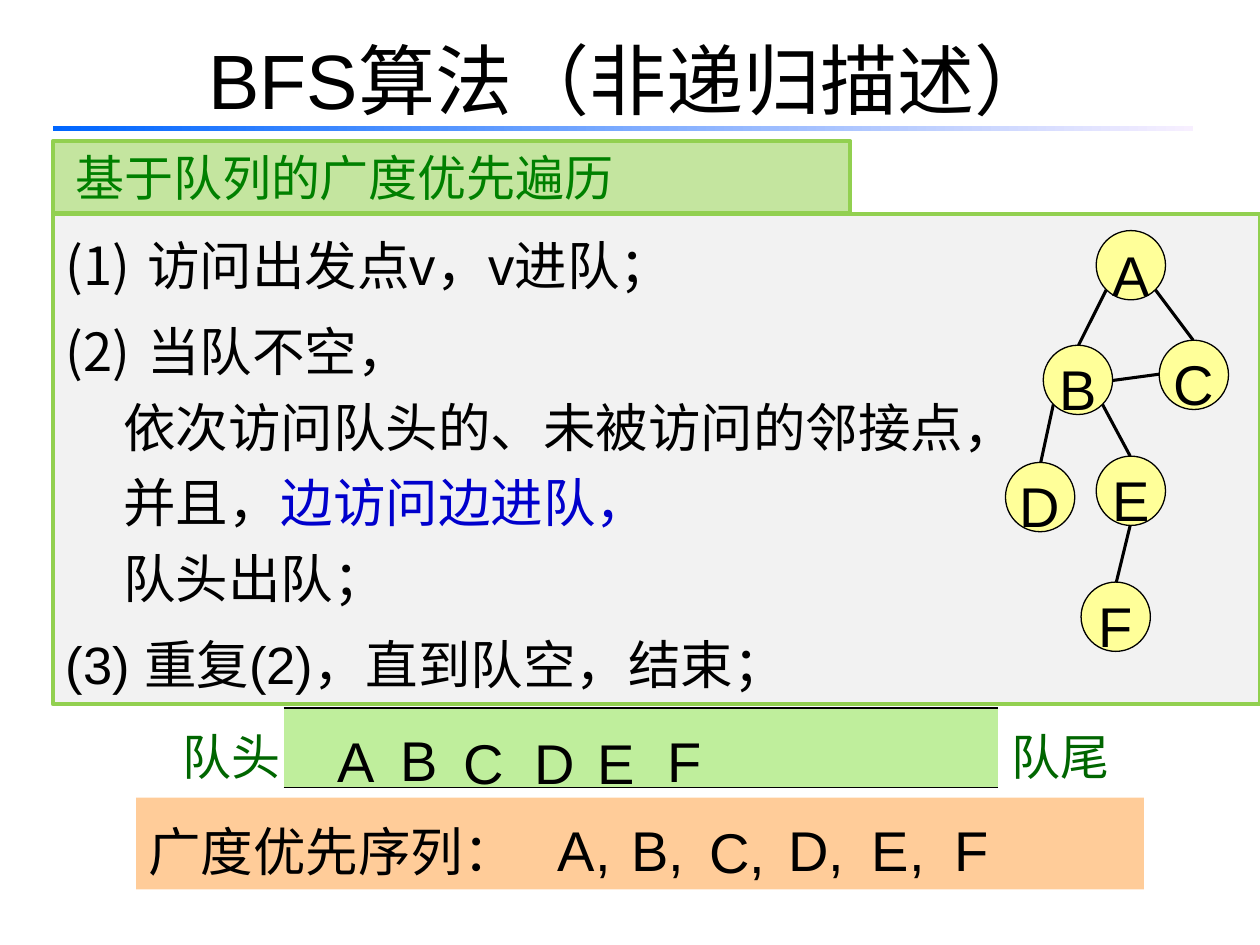
from typing import NamedTuple

from lxml import etree
from pptx import Presentation
from pptx import util as u
from pptx.dml.color import RGBColor
from pptx.enum import shapes, text
from pptx.oxml import ns

FONT = "Arial"
BLACK = RGBColor(0x00, 0x00, 0x00)
WHITE = RGBColor(0xFF, 0xFF, 0xFF)
BLUE = RGBColor(0x00, 0x00, 0xCC)
GREEN = RGBColor(0x00, 0x80, 0x00)
DARK_GREEN = RGBColor(0x00, 0x66, 0x00)
LIME = RGBColor(0x92, 0xD0, 0x50)
PALE_LIME = RGBColor(0xC4, 0xE5, 0x9F)
QUEUE_GREEN = RGBColor(0xBF, 0xEE, 0x9C)
GREY = RGBColor(0xF2, 0xF2, 0xF2)
YELLOW = RGBColor(0xFF, 0xFF, 0x99)
ORANGE = RGBColor(0xFF, 0xCC, 0x99)
RULE_START = RGBColor(0x00, 0x66, 0xFF)
RULE_END = RGBColor(0xF7, 0xEF, 0xFF)
NODE_SIZE = 0.55


class Step(NamedTuple):
    runs: tuple
    margin: float = 0
    numbered: bool = False
    before: float = 0


class Node(NamedTuple):
    name: str
    x: float
    y: float


class Edge(NamedTuple):
    x1: float
    y1: float
    x2: float
    y2: float


class Label(NamedTuple):
    text: str
    x: float
    y: float
    w: float
    h: float
    size: float = 32
    color: RGBColor = BLACK
    spacing: float = 1.25


STEPS = [
    Step((("访问出发点v，v进队；", BLACK),), 0.65, True),
    Step((("当队不空，", BLACK),), 0.65, True, 6),
    Step((("依次访问队头的、未被访问的邻接点，", BLACK),), 0.46),
    Step((("并且，", BLACK), ("边访问边进队，", BLUE)), 0.46),
    Step((("队头出队；", BLACK),), 0.46),
    Step((("(3) 重复(2)，直到队空，结束；", BLACK),), before=6),
]
EDGES = [
    Edge(9.17, 2.3, 9.47, 2.7), Edge(8.78, 2.3, 8.56, 2.74),
    Edge(8.36, 3.21, 8.26, 3.67), Edge(8.75, 3.21, 8.97, 3.62),
    Edge(9.2, 2.97, 8.83, 3.02), Edge(8.97, 4.17, 8.86, 4.62),
]
NODES = [
    Node("A", 8.7, 1.83), Node("B", 8.28, 2.74), Node("C", 9.2, 2.7),
    Node("D", 7.98, 3.67), Node("E", 8.7, 3.62), Node("F", 8.58, 4.62),
]
QUEUE = [
    Label("队头", 1.35, 5.6, 0.99, 0.69, 28, DARK_GREEN),
    Label("队尾", 7.93, 5.6, 0.99, 0.63, 28, DARK_GREEN),
    Label("A", 2.58, 5.58, 0.6, 0.71), Label("B", 3.08, 5.58, 0.5, 0.77),
    Label("C", 3.58, 5.6, 0.53, 0.77), Label("D", 4.14, 5.6, 0.53, 0.77),
    Label("E", 4.64, 5.6, 0.5, 0.71), Label("F", 5.2, 5.58, 0.48, 0.71),
]
SEQUENCE = [
    Label(name, x, y, w, 0.64, spacing=1)
    for name, x, y, w in [
        ("A,", 4.33, 6.42, 0.63), ("B,", 4.91, 6.42, 0.75), ("C,", 5.53, 6.44, 0.65),
        ("D,", 6.16, 6.42, 0.78), ("E,", 6.82, 6.42, 0.75), ("F", 7.48, 6.42, 0.6),
    ]
]


def box(x: float, y: float, w: float, h: float) -> tuple:
    return tuple(u.Inches(v) for v in (x, y, w, h))


def place(sp, *at: float) -> None:
    sp.left, sp.top, sp.width, sp.height = box(*at)


def add_run(p, words: str, size: float, color: RGBColor) -> None:
    r = p.add_run()
    r.text = words
    r.font.size, r.font.name = u.Pt(size), FONT
    r.font.color.rgb = color


def paint(sp, fill: RGBColor, line: RGBColor | None = None, width: float = 0) -> None:
    sp.fill.solid()
    sp.fill.fore_color.rgb = fill
    if line is None:
        sp.line.fill.background()
    else:
        sp.line.color.rgb, sp.line.width = line, u.Pt(width)


def add_shape(s, kind, *at: float):
    sp = s.shapes.add_shape(kind, *box(*at))
    sp.shadow.inherit = False
    tf = sp.text_frame
    tf.word_wrap, tf.vertical_anchor = True, text.MSO_ANCHOR.TOP
    tf.paragraphs[0].alignment = text.PP_ALIGN.LEFT
    return sp


def indent(p, margin: float, numbered: bool = False) -> None:
    pPr = p._p.get_or_add_pPr()
    pPr.set("marL", str(u.Inches(margin)))
    pPr.set("indent", str(-u.Inches(margin) if numbered else 0))
    if numbered:
        bullet = etree.SubElement(pPr, ns.qn("a:buAutoNum"))
        bullet.set("type", "arabicParenBoth")
    else:
        etree.SubElement(pPr, ns.qn("a:buNone"))


def add_steps(sp, steps: list[Step]) -> None:
    tf = sp.text_frame
    tf.auto_size, tf.vertical_anchor = text.MSO_AUTO_SIZE.NONE, text.MSO_ANCHOR.TOP
    for i, step in enumerate(steps):
        p = tf.add_paragraph() if i else tf.paragraphs[0]
        p.line_spacing, p.space_before = 1.2, u.Pt(step.before)
        indent(p, step.margin, step.numbered)
        for words, color in step.runs:
            add_run(p, words, 30, color)


def add_edge(s, e: Edge) -> None:
    c = s.shapes.add_connector(shapes.MSO_CONNECTOR.STRAIGHT, *box(*e))
    c.line.color.rgb, c.line.width = BLACK, u.Pt(1.75)
    etree.SubElement(c._element.spPr, ns.qn("a:effectLst"))


def add_node(s, n: Node) -> None:
    sp = add_shape(s, shapes.MSO_SHAPE.OVAL, n.x, n.y, NODE_SIZE, NODE_SIZE)
    paint(sp, YELLOW, BLACK, 0.75)
    tf = sp.text_frame
    tf.word_wrap, tf.vertical_anchor = False, text.MSO_ANCHOR.MIDDLE
    p = tf.paragraphs[0]
    p.alignment, p.line_spacing = text.PP_ALIGN.CENTER, 1.25
    add_run(p, n.name, 32, BLACK)


def add_label(s, lb: Label) -> None:
    tf = s.shapes.add_textbox(*box(lb.x, lb.y, lb.w, lb.h)).text_frame
    tf.word_wrap, tf.auto_size = False, text.MSO_AUTO_SIZE.SHAPE_TO_FIT_TEXT
    p = tf.paragraphs[0]
    p.line_spacing = lb.spacing
    add_run(p, lb.text, lb.size, lb.color)


def add_queue(s) -> None:
    frame = s.shapes.add_table(1, 1, *box(2.25, 5.62, 5.68, 0.63))
    cell = frame.table.cell(0, 0)
    tcPr = cell._tc.get_or_add_tcPr()
    for side, color in (("L", None), ("R", WHITE), ("T", BLACK), ("B", BLACK)):
        ln = etree.SubElement(tcPr, ns.qn(f"a:ln{side}"), w=str(u.Pt(1)))
        if color is None:
            etree.SubElement(ln, ns.qn("a:noFill"))
        else:
            fill = etree.SubElement(ln, ns.qn("a:solidFill"))
            etree.SubElement(fill, ns.qn("a:srgbClr"), val=str(color))
    cell.fill.solid()
    cell.fill.fore_color.rgb = QUEUE_GREEN


def main() -> None:
    prs = Presentation()
    prs.slide_width, prs.slide_height = u.Inches(10), u.Inches(7.5)
    s = prs.slides.add_slide(prs.slide_layouts[1])
    title, body = s.placeholders

    # Title and the rule under it
    place(title, 0.5, 0, 9, 1.25)
    add_run(title.text_frame.paragraphs[0], "BFS算法（非递归描述）", 44, BLACK)
    rule = add_shape(s, shapes.MSO_SHAPE.RECTANGLE, 0.42, 1, 9.05, 0.04)
    paint(rule, RULE_START)
    rule.fill.gradient()
    rule.fill.gradient_angle = 0
    for stop, color in zip(rule.fill.gradient_stops, (RULE_START, RULE_END)):
        stop.color.rgb = color

    # Algorithm steps under their heading
    place(body, 0.42, 1.7, 9.58, 3.89)
    paint(body, GREY, LIME, 2.25)
    add_steps(body, STEPS)
    heading = add_shape(s, shapes.MSO_SHAPE.RECTANGLE, 0.42, 1.12, 6.33, 0.57)
    paint(heading, PALE_LIME, LIME, 2.25)
    p = heading.text_frame.paragraphs[0]
    indent(p, 0.08)
    add_run(p, "基于队列的广度优先遍历", 28, GREEN)

    # Graph
    for e in EDGES:
        add_edge(s, e)
    for n in NODES:
        add_node(s, n)

    # Queue and resulting sequence
    add_queue(s)
    result = add_shape(s, shapes.MSO_SHAPE.RECTANGLE, 1.08, 6.33, 8, 0.73)
    paint(result, ORANGE)
    p = result.text_frame.paragraphs[0]
    p.line_spacing = 1.25
    add_run(p, "广度优先序列：", 30, BLACK)
    for lb in QUEUE + SEQUENCE:
        add_label(s, lb)

    prs.save("out.pptx")


if __name__ == "__main__":
    main()
